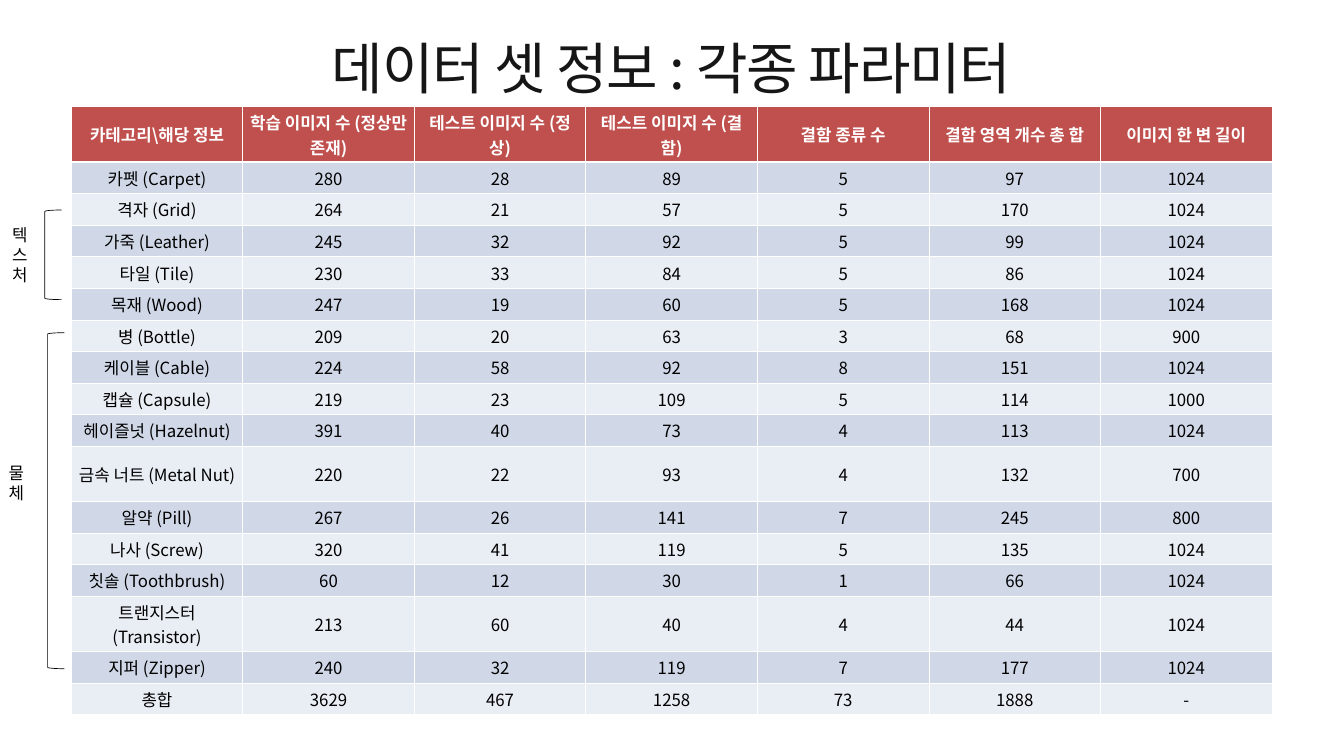
import pptx
import pptx.dml.color
import pptx.enum.shapes
import pptx.enum.text
import pptx.oxml.ns
import pptx.util
from dataclasses import dataclass
from lxml import etree

Pt = pptx.util.Pt
PP_ALIGN = pptx.enum.text.PP_ALIGN
ANCHOR = pptx.enum.text.MSO_ANCHOR


@dataclass(frozen=True)
class Theme:
    font: str = "Noto Sans CJK KR"
    title: str = "161616"
    ink: str = "000000"
    white: str = "FFFFFF"
    header: str = "C0504D"
    bands: tuple = ("D0D8E8", "E9EDF4")
    title_size: int = 60
    body_size: int = 18


THEME = Theme()

HEADERS = ["카테고리\\해당 정보", "학습 이미지 수 (정상만 존재)", "테스트 이미지 수 (정상)",
           "테스트 이미지 수 (결함)", "결함 종류 수", "결함 영역 개수 총 합", "이미지 한 변 길이"]
ROWS = [
    ("카펫 (Carpet)", 280, 28, 89, 5, 97, 1024),
    ("격자 (Grid)", 264, 21, 57, 5, 170, 1024),
    ("가죽 (Leather)", 245, 32, 92, 5, 99, 1024),
    ("타일 (Tile)", 230, 33, 84, 5, 86, 1024),
    ("목재 (Wood)", 247, 19, 60, 5, 168, 1024),
    ("병 (Bottle)", 209, 20, 63, 3, 68, 900),
    ("케이블 (Cable)", 224, 58, 92, 8, 151, 1024),
    ("캡슐 (Capsule)", 219, 23, 109, 5, 114, 1000),
    ("헤이즐넛 (Hazelnut)", 391, 40, 73, 4, 113, 1024),
    ("금속 너트 (Metal Nut)", 220, 22, 93, 4, 132, 700),
    ("알약 (Pill)", 267, 26, 141, 7, 245, 800),
    ("나사 (Screw)", 320, 41, 119, 5, 135, 1024),
    ("칫솔 (Toothbrush)", 60, 12, 30, 1, 66, 1024),
    ("트랜지스터 (Transistor)", 213, 60, 40, 4, 44, 1024),
    ("지퍼 (Zipper)", 240, 32, 119, 7, 177, 1024),
    ("총합", 3629, 467, 1258, 73, 1888, "-"),
]
# Rows whose text takes two lines: the header, Metal Nut and Transistor
TWO_LINE_ROWS = {0, 10, 14}


def rgb(color):
    return pptx.dml.color.RGBColor.from_string(color)


def write(tf, text, size=THEME.body_size, color=THEME.ink, bold=False,
          align=PP_ALIGN.LEFT, spacing=None):
    """Fill a text frame with one formatted paragraph."""
    p = tf.paragraphs[0]
    p.alignment = align
    r = p.add_run()
    r.text = text
    r.font.size, r.font.bold = Pt(size), bold
    r.font.color.rgb = rgb(color)
    r.font.name = THEME.font
    rPr = r.font._element
    for tag in ("a:ea", "a:cs"):
        etree.SubElement(rPr, pptx.oxml.ns.qn(tag), typeface=THEME.font)
    if spacing is not None:
        rPr.set("spc", str(round(spacing * 100)))


def add_title(slide, text):
    tf = slide.shapes.add_textbox(Pt(38), Pt(30), Pt(1363), Pt(84)).text_frame
    tf.word_wrap = True
    tf.vertical_anchor = ANCHOR.MIDDLE
    tf.margin_left = tf.margin_right = tf.margin_top = tf.margin_bottom = 0
    write(tf, text, size=THEME.title_size, color=THEME.title,
          align=PP_ALIGN.CENTER, spacing=-1.2)
    tf.paragraphs[0].line_spacing = 1.0


def set_borders(cell, bottom=1):
    tcPr = cell._tc.get_or_add_tcPr()
    for side, width in (("L", 1), ("R", 1), ("T", 1), ("B", bottom)):
        ln = etree.SubElement(tcPr, pptx.oxml.ns.qn(f"a:ln{side}"), w=str(Pt(width)))
        fill = etree.SubElement(ln, pptx.oxml.ns.qn("a:solidFill"))
        etree.SubElement(fill, pptx.oxml.ns.qn("a:srgbClr"), val=THEME.white)


def add_data_table(slide, x, y, col_w, row_h, tall_row_h):
    heights = [tall_row_h if i in TWO_LINE_ROWS else row_h
               for i in range(len(ROWS) + 1)]
    table = slide.shapes.add_table(len(heights), len(HEADERS), Pt(x), Pt(y),
                                   Pt(col_w * len(HEADERS)), Pt(sum(heights))).table
    for col in table.columns:
        col.width = Pt(col_w)
    for i, values in enumerate([HEADERS, *ROWS]):
        is_header = i == 0
        table.rows[i].height = Pt(heights[i])
        for j, value in enumerate(values):
            cell = table.cell(i, j)
            cell.vertical_anchor = ANCHOR.MIDDLE
            set_borders(cell, bottom=3 if is_header else 1)
            cell.fill.solid()
            cell.fill.fore_color.rgb = rgb(THEME.header if is_header
                                           else THEME.bands[(i - 1) % 2])
            write(cell.text_frame, str(value), bold=is_header, align=PP_ALIGN.CENTER,
                  color=THEME.white if is_header else THEME.ink)


def add_bracket(slide, x, y, h):
    sp = slide.shapes.add_shape(pptx.enum.shapes.MSO_SHAPE.LEFT_BRACKET,
                                Pt(x), Pt(y), Pt(18), Pt(h))
    sp.shadow.inherit = False
    sp.fill.solid()
    sp.fill.fore_color.rgb = rgb(THEME.white)
    sp.line.color.rgb = rgb(THEME.ink)
    sp.line.width = Pt(0.75)


def add_group_label(slide, text, x, y, h):
    tf = slide.shapes.add_textbox(Pt(x), Pt(y), Pt(41.8), Pt(h)).text_frame
    tf.word_wrap = True
    tf.auto_size = pptx.enum.text.MSO_AUTO_SIZE.SHAPE_TO_FIT_TEXT
    write(tf, text)


def main():
    prs = pptx.Presentation()
    prs.slide_width, prs.slide_height = Pt(1440), Pt(810)
    slide = prs.slides.add_slide(prs.slide_layouts[6])

    # Title and table
    add_title(slide, "데이터 셋 정보 : 각종 파라미터")
    add_data_table(slide, x=76.3, y=114.5, col_w=183.8, row_h=33.85, tall_row_h=59.2)

    # Category groups beside the table
    add_bracket(slide, x=48, y=225, h=96)
    add_bracket(slide, x=51, y=356.5, h=360)
    add_group_label(slide, "텍스처", x=6, y=237, h=72.7)
    add_group_label(slide, "물체", x=2.2, y=492.5, h=51)

    prs.save("out.pptx")


if __name__ == "__main__":
    main()
